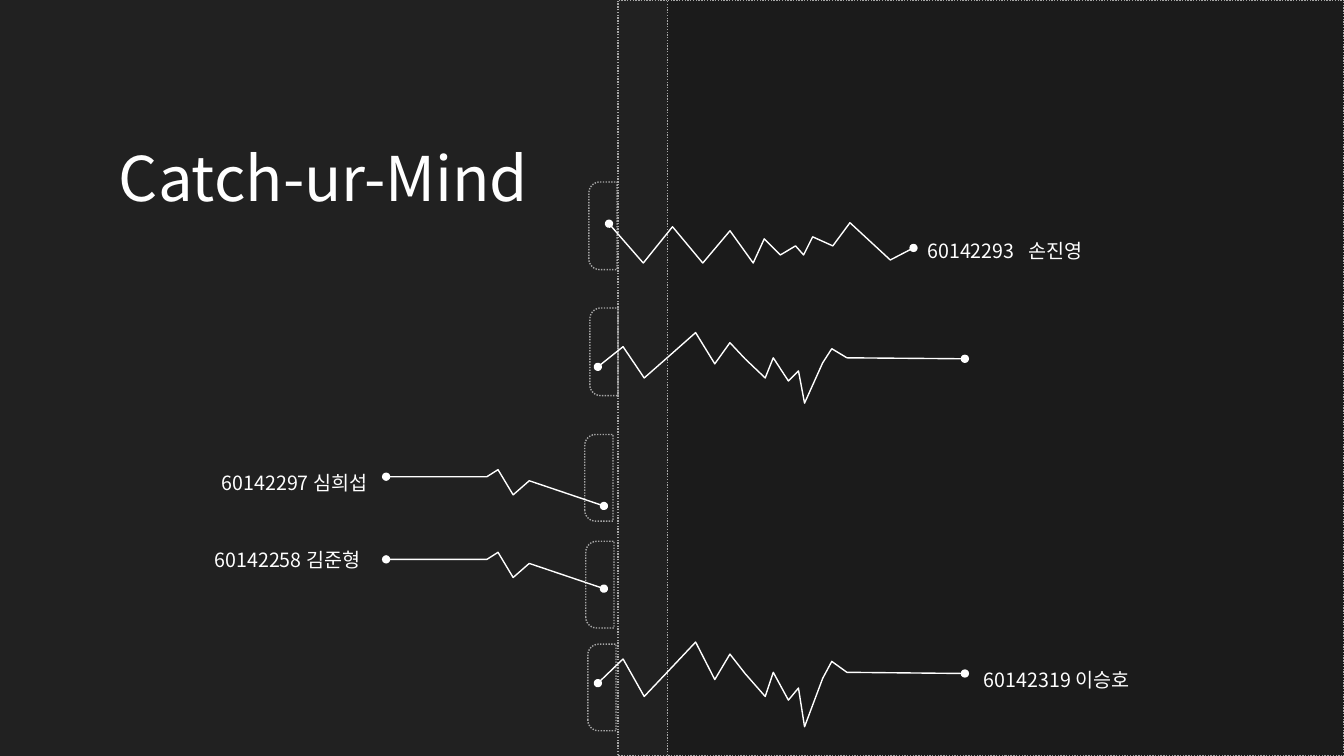
"""Builds the dark Catch-ur-Mind team slide with folder tabs and pulse lines."""
from dataclasses import dataclass

from lxml import etree
from pptx import Presentation
from pptx import util as u
from pptx.dml.color import RGBColor
from pptx.enum import dml, shapes, text
from pptx.oxml import ns


@dataclass(frozen=True)
class Theme:
    background: str = "212121"
    panel: str = "1B1B1B"
    outline: str = "A6A6A6"
    ink: str = "FFFFFF"
    font: str = "Noto Sans CJK KR"
    title_size: int = 44
    label_size: int = 14
    line_width: int = 1


THEME = Theme()
WIDTH, HEIGHT = 13.33, 7.5

TITLE = ("Catch-ur-Mind", 1.08, 0.97, 4.3, 1.21)
LABELS = [
    ("60142293\t손진영", 9.1, 2.2, 1.8, 0.45),
    ("60142297 심희섭", 2.1, 4.51, 1.73, 0.41),
    ("60142258 김준형", 2.03, 5.27, 1.73, 0.45),
    ("60142319 이승호", 9.66, 6.46, 1.73, 0.45),
]

PANELS = [(6.13, THEME.background), (6.62, THEME.panel)]
TAB_DEPTH = 0.28
TABS = [(5.98, 2.24, 0.87), (5.99, 3.49, 0.87), (5.94, 4.74, 0.86),
        (5.95, 5.8, 0.86), (5.97, 6.82, 0.86)]

JAGGED = [(6.04, 0.01), (6.38, 0.4), (6.67, 0.04), (6.97, 0.4), (7.24, 0.08),
          (7.47, 0.4), (7.58, 0.16), (7.74, 0.32), (7.89, 0.23), (7.97, 0.32),
          (8.06, 0.14), (8.26, 0.23), (8.43, 0), (8.83, 0.37), (9.06, 0.25)]
HEARTBEAT = [(5.93, 0.34), (6.18, 0.14), (6.39, 0.45), (6.64, 0.23), (6.9, 0),
             (7.09, 0.31), (7.24, 0.1), (7.39, 0.26), (7.59, 0.45), (7.67, 0.25),
             (7.82, 0.48), (7.92, 0.38), (7.98, 0.7), (8.16, 0.3), (8.25, 0.16),
             (8.4, 0.25), (9.57, 0.26)]
BLIP = [(3.83, 0.07), (4.83, 0.07), (4.94, 0), (5.09, 0.25), (5.25, 0.11), (5.99, 0.36)]
PULSES = [(JAGGED, 2.21, 1), (HEARTBEAT, 3.3, 1), (BLIP, 4.66, 1),
          (BLIP, 5.48, 1), (HEARTBEAT, 6.37, 1.2)]


def style(shape, fill, line, dash=None):
    shape.shadow.inherit = False
    if fill:
        shape.fill.solid()
        shape.fill.fore_color.rgb = RGBColor.from_string(fill)
    else:
        shape.fill.background()
    shape.line.color.rgb = RGBColor.from_string(line)
    shape.line.width = u.Pt(THEME.line_width)
    if dash:
        shape.line.dash_style = dash


def add_outlined(slide, kind, left, top, width, height, fill=None):
    shape = slide.shapes.add_shape(kind, *map(u.Inches, (left, top, width, height)))
    style(shape, fill, THEME.outline, dml.MSO_LINE.ROUND_DOT)
    return shape


def add_tab(slide, center_x, center_y, length):
    tab = add_outlined(slide, shapes.MSO_SHAPE.ROUND_2_SAME_RECTANGLE,
                       center_x - length / 2, center_y - TAB_DEPTH / 2, length, TAB_DEPTH)
    tab.rotation = 270
    tab.adjustments[0] = 0.385
    tab.adjustments[1] = 0


def add_pulse(slide, points, top, stretch):
    start, *rest = [(u.Inches(x), u.Inches(top + y * stretch)) for x, y in points]
    builder = slide.shapes.build_freeform(*start)
    builder.add_line_segments(rest, close=False)
    pulse = builder.convert_to_shape()
    style(pulse, None, THEME.ink)
    line = pulse.line._get_or_add_ln()
    for end in ("a:headEnd", "a:tailEnd"):
        etree.SubElement(line, ns.qn(end), type="oval")


def add_text(slide, words, left, top, width, height, size, wrap=False):
    box = slide.shapes.add_textbox(*map(u.Inches, (left, top, width, height)))
    frame = box.text_frame
    frame.word_wrap = wrap
    frame.auto_size = text.MSO_AUTO_SIZE.SHAPE_TO_FIT_TEXT
    paragraph = frame.paragraphs[0]
    paragraph.text = words
    paragraph.line_spacing = 1.5
    font = paragraph.font
    font.size = u.Pt(size)
    font.name = THEME.font
    font.color.rgb = RGBColor.from_string(THEME.ink)
    etree.SubElement(font._element, ns.qn("a:ea"), typeface=THEME.font)


def main():
    presentation = Presentation()
    presentation.slide_width = u.Inches(WIDTH)
    presentation.slide_height = u.Inches(HEIGHT)
    slide = presentation.slides.add_slide(presentation.slide_layouts[6])
    slide.background.fill.solid()
    slide.background.fill.fore_color.rgb = RGBColor.from_string(THEME.background)

    add_text(slide, *TITLE, THEME.title_size, wrap=True)
    for left, fill in PANELS:
        add_outlined(slide, shapes.MSO_SHAPE.RECTANGLE, left, 0, WIDTH - left, HEIGHT, fill)
    for tab in TABS:
        add_tab(slide, *tab)
    for pulse in PULSES:
        add_pulse(slide, *pulse)
    for label in LABELS:
        add_text(slide, *label, THEME.label_size)
    presentation.save("out.pptx")


if __name__ == "__main__":
    main()
